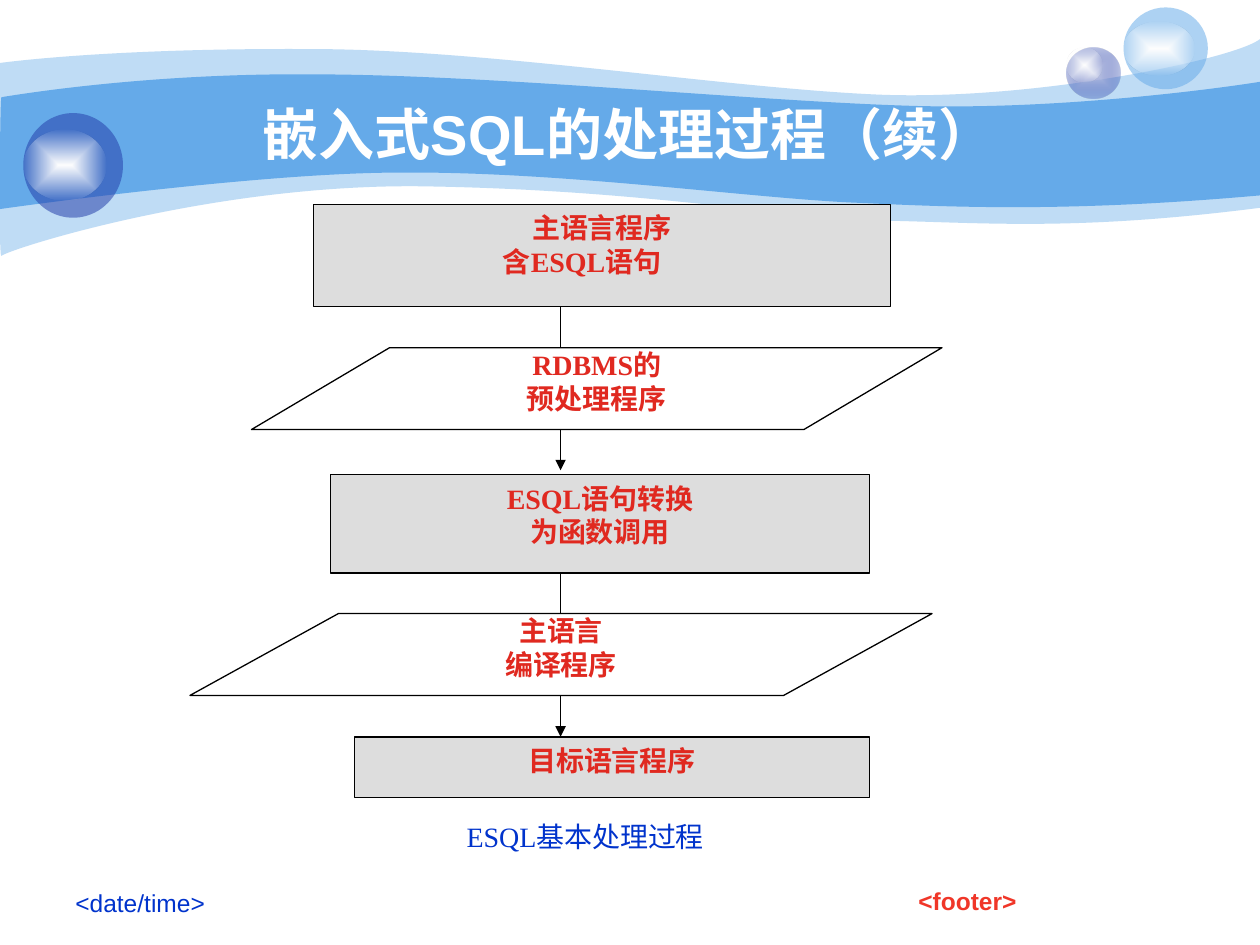
"""Builds the slide on how embedded SQL is processed, as a vertical flow chart."""
import pptx
import pptx.dml.color
import pptx.enum.shapes
import pptx.enum.text
import pptx.oxml
import pptx.oxml.ns
import pptx.util

Cm = pptx.util.Cm
Pt = pptx.util.Pt
RGB = pptx.dml.color.RGBColor.from_string
MSO = pptx.enum.shapes.MSO_SHAPE
ANCHOR = pptx.enum.text.MSO_ANCHOR
ALIGN = pptx.enum.text.PP_ALIGN
NS = pptx.oxml.ns.nsdecls("a")
COLORS = {
    "sky": "65AAE9", "navy": "233DA9", "mist": "C6CCE8", "white": "FFFFFF", "glow": "FEFEFE",
    "gray": "DDDDDD", "black": "000000", "red": "E02920", "footer": "F03628", "blue": "0033CC",
}


def paint(sp, stops, line=None):
    """Fill with one (color, opacity) stop or a centred gradient of two."""
    sp.shadow.inherit = False
    if len(stops) == 1 and stops[0][1] == 100:
        sp.fill.solid()
        sp.fill.fore_color.rgb = RGB(COLORS[stops[0][0]])
    else:
        colors = [f'<a:srgbClr val="{COLORS[c]}"><a:alpha val="{a * 1000}"/></a:srgbClr>' for c, a in stops]
        xml = f"<a:solidFill {NS}>{colors[0]}</a:solidFill>"
        if len(colors) == 2:
            gs = "".join(f'<a:gs pos="{i * 100000}">{c}</a:gs>' for i, c in enumerate(colors))
            xml = (f'<a:gradFill {NS} rotWithShape="1"><a:gsLst>{gs}</a:gsLst><a:path path="rect">'
                   '<a:fillToRect l="50000" t="50000" r="50000" b="50000"/></a:path></a:gradFill>')
        sp.fill.background()
        spPr = sp.element.spPr
        spPr.replace(spPr.find(pptx.oxml.ns.qn("a:noFill")), pptx.oxml.parse_xml(xml))
    if line:
        sp.line.color.rgb = RGB(COLORS[line])
        sp.line.width = Pt(0.75)
    else:
        sp.line.fill.background()


def write(tf, lines, size, font, color, bold=False, align=ALIGN.CENTER, anchor=ANCHOR.TOP, inset=(0.25, 0.13)):
    """Write one paragraph per line."""
    tf.word_wrap = True
    tf.auto_size = pptx.enum.text.MSO_AUTO_SIZE.NONE
    tf.vertical_anchor = anchor
    tf.margin_left = tf.margin_right = Cm(inset[0])
    tf.margin_top = tf.margin_bottom = Cm(inset[1])
    for i, text in enumerate(lines):
        p = tf.paragraphs[0] if i == 0 else tf.add_paragraph()
        p.alignment = align
        r = p.add_run()
        r.text = text
        r.font.size = Pt(size)
        r.font.name = font
        r.font.bold = bold
        r.font.color.rgb = RGB(COLORS[color])


prs = pptx.Presentation()
prs.slide_width = Cm(25.4)
prs.slide_height = Cm(19.05)
s = prs.slides.add_slide(prs.slide_layouts[5])

bands = [
    (41, (0, 1.27), [
        (0.61, 1.19, 2.72, 0.97, 6.27, 0.99), (9.8, 0.99, 14.61, 1.78, 17.75, 1.91),
        (20.88, 2.03, 24.89, 1.19, 25.4, 0.79), (25.4, 4.19),
        (21.79, 4.65, 19.99, 4.5, 17.91, 4.45), (15.8, 4.39, 13.08, 3.84, 8.71, 3.76),
        (4.37, 3.66, 0.1, 5.05, 0.03, 5.16), (-0.03, 5.28, 0, 1.91, 0, 1.27)]),
    (100, (0.03, 1.96), [
        (0.05, 1.96, 2.79, 1.47, 6.3, 1.5), (9.8, 1.5, 15.11, 2.03, 18.24, 2.13),
        (21.36, 2.24, 24.79, 1.75, 25.4, 1.65), (25.4, 3.94),
        (21.67, 4.27, 19.43, 4.19, 17.32, 4.09), (15.21, 4.01, 11.35, 3.45, 8.05, 3.48),
        (5.16, 3.48, -0.05, 4.22, -0.03, 4.22), (0, 4.22, 0, 1.96, 0.03, 1.96)]),
]
for opacity, start, segments in bands:
    builder = s.shapes.build_freeform(Cm(start[0]), Cm(start[1]))
    builder.add_line_segments([(Cm(seg[-2]), Cm(seg[-1])) for seg in segments])
    sp = builder.convert_to_shape()
    edges = list(sp.element.iter(pptx.oxml.ns.qn("a:lnTo")))
    for edge, seg in zip(edges, segments):
        if len(seg) == 6:
            pts = "".join(f'<a:pt x="{Cm(x) - sp.left}" y="{Cm(y) - sp.top}"/>'
                          for x, y in zip(seg[::2], seg[1::2]))
            curve = pptx.oxml.parse_xml(f"<a:cubicBezTo {NS}>{pts}</a:cubicBezTo>")
            edge.getparent().replace(edge, curve)
    paint(sp, [("sky", opacity)])

shine = [("white", 100), ("glow", 0)]
bubbles = [
    (21.51, 0.97, 1.07, 1.02, [("mist", 100), ("navy", 31)]),
    (21.51, 0.97, 0.71, 0.69, shine),
    (22.65, 0.15, 1.7, 1.65, [("sky", 53)]),
    (22.65, 0.43, 1.42, 1.09, shine),
    (0.47, 2.28, 2.01, 2.11, [("navy", 53)]),
    (0.47, 2.62, 1.68, 1.42, shine),
]
for x, y, w, h, stops in bubbles:
    paint(s.shapes.add_shape(MSO.OVAL, Cm(x), Cm(y), Cm(w), Cm(h)), stops)

for x, y, w, text, color, bold, align in [
    (14.5, 17.73, 10.01, "<footer>", "footer", True, ALIGN.CENTER),
    (1.27, 17.78, 5.92, "<date/time>", "blue", False, ALIGN.LEFT),
]:
    tb = s.shapes.add_textbox(Cm(x), Cm(y), Cm(w), Cm(0.89))
    write(tb.text_frame, [text], 14, "Arial", color, bold, align)

title = s.shapes.title
title.left, title.top, title.width, title.height = Cm(2.54), Cm(1.89), Cm(20.52), Cm(1.57)
write(title.text_frame, ["嵌入式SQL的处理过程（续） "], 32, "Arial", "white", True, anchor=ANCHOR.MIDDLE)
title.element.getparent().append(title.element)

for top, bottom in [(11.13, 14.85), (5.77, 9.48)]:
    arrow = s.shapes.add_connector(pptx.enum.shapes.MSO_CONNECTOR.STRAIGHT,
                                   Cm(11.3), Cm(top), Cm(11.3), Cm(bottom))
    arrow.line.color.rgb = RGB(COLORS["black"])
    arrow.line.width = Pt(0.75)
    ln = arrow.element.spPr.find(pptx.oxml.ns.qn("a:ln"))
    ln.append(pptx.oxml.parse_xml(f'<a:tailEnd {NS} type="triangle"/>'))
    arrow.element.spPr.append(pptx.oxml.parse_xml(f"<a:effectLst {NS}/>"))

process = (MSO.FLOWCHART_PROCESS, "gray", "black", "red", True, (0.25, 0.13))
program = (MSO.FLOWCHART_DATA, "white", "black", "red", True, (0.1, 0))
caption = (MSO.RECTANGLE, "white", None, "blue", False, (0.1, 0))
steps = [
    (process, 6.32, 4.12, 11.63, 2.06, ["主语言程序", "含ESQL语句"]),
    (program, 5.07, 7.01, 13.92, 1.65, ["RDBMS的", "预处理程序"]),
    (process, 6.66, 9.57, 10.87, 1.98, ["ESQL语句转换", "为函数调用"]),
    (program, 3.83, 12.37, 14.96, 1.65, ["主语言", "编译程序"]),
    (process, 7.15, 14.86, 10.38, 1.22, ["目标语言程序"]),
    (caption, 3.7, 16.53, 16.2, 0.81, ["ESQL基本处理过程"]),
]
boxes = []
for (kind, fill, line, color, bold, inset), x, y, w, h, lines in steps:
    sp = s.shapes.add_shape(kind, Cm(x), Cm(y), Cm(w), Cm(h))
    paint(sp, [(fill, 100)], line)
    write(sp.text_frame, lines, 16, "Times New Roman", color, bold, inset=inset)
    boxes.append(sp)

p = boxes[0].text_frame.paragraphs[1]
p.alignment = ALIGN.LEFT
p._p.get_or_add_pPr().set("marL", str(Cm(3.57)))

prs.save("out.pptx")
